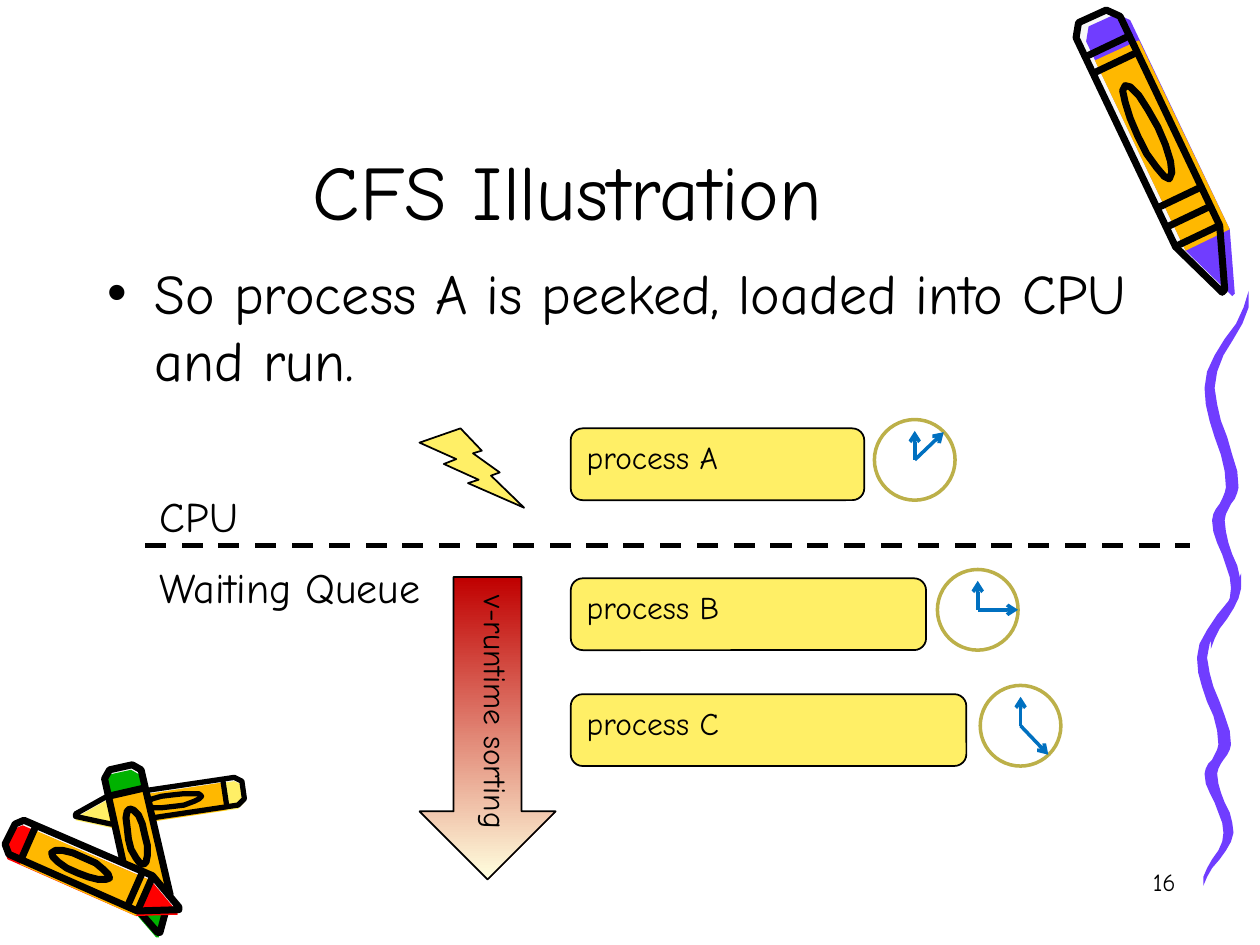
from dataclasses import dataclass
from math import cos, hypot, pi, sin, sqrt, tau

from lxml.etree import SubElement
from pptx import Presentation
from pptx.dml.color import RGBColor
from pptx.enum.dml import MSO_LINE
from pptx.enum.shapes import MSO_CONNECTOR, MSO_SHAPE as Preset
from pptx.enum.text import MSO_ANCHOR as Anchor, MSO_AUTO_SIZE as AutoSize, PP_ALIGN as Align
from pptx.oxml.ns import qn
from pptx.util import Inches, Pt

FONT = "Comic Neue"
BLACK = RGBColor(0x00, 0x00, 0x00)
OFF_WHITE = RGBColor(0xF8, 0xF8, 0xF8)
PURPLE = RGBColor(0x70, 0x3D, 0xFF)
ORANGE = RGBColor(0xFF, 0xB8, 0x00)
YELLOW = RGBColor(0xFF, 0xEF, 0x66)
RED = RGBColor(0xFF, 0x00, 0x00)
GREEN = RGBColor(0x00, 0xB2, 0x00)
OLIVE = RGBColor(0xBC, 0xB0, 0x49)
BLUE = RGBColor(0x00, 0x70, 0xC0)
DARK_RED = RGBColor(0xC0, 0x00, 0x00)
CREAM = RGBColor(0xFF, 0xFF, 0xDF)


@dataclass
class Crayon:
    """Lengths are inches; bands are fractions of the way from base to tip."""
    base: tuple
    tip: tuple
    width: float
    wax: RGBColor
    bands: tuple
    shift: tuple  # how far the colour slips out of the black outline
    weight: float

    def point(self, along, across, shift=(0, 0)):
        """Slide position; along runs 0 to 1, across runs -1 to 1 between the sides."""
        run, rise = self.tip[0] - self.base[0], self.tip[1] - self.base[1]
        side = across * self.width / 2 / hypot(run, rise)
        return (self.base[0] + along * run + side * rise + shift[0],
                self.base[1] + along * rise - side * run + shift[1])

    def outline(self, corners, shift=(0, 0)):
        return [self.point(along, across, shift) for along, across in corners]


SHOULDER = 0.8  # where the straight side of a crayon ends
SILHOUETTE = [(0, -0.6), (0.04, -1), (SHOULDER, -1), (1, -0.08),
              (1, 0.08), (SHOULDER, 1), (0.04, 1), (0, 0.6)]
WRAPPER = [(0.11, -1), (SHOULDER, -1), (SHOULDER, 1), (0.11, 1)]
OVAL = [(0.42 + 0.17 * cos(tau * step / 16), 0.45 * sin(tau * step / 16)) for step in range(16)]

CRAYONS = [
    Crayon((1.93, 6.27), (0.60, 6.47), 0.22, YELLOW, (0.11,), (0, 0.03), 3),
    Crayon((0.96, 6.09), (1.26, 7.40), 0.30, GREEN, (0.15,), (-0.01, 0.04), 4),
    Crayon((0.08, 6.62), (1.42, 7.21), 0.30, RED, (0.11, 0.74, SHOULDER), (-0.01, 0.04), 4),
    Crayon((8.67, 0.13), (9.71, 2.31), 0.39, PURPLE, (0.11, 0.17, 0.66, 0.73, SHOULDER), (0.08, 0.03), 4),
]

# Bends of the wavy ribbon: fraction of its height, x in inches.
RIBBON_BENDS = [(0, 9.91), (0.27, 9.60), (0.55, 9.78), (0.64, 9.67), (0.83, 9.81), (1, 9.61)]

# Name, bar top, bar width, clock centre x, offset of the long hand's tip.
PROCESSES = [
    ("process A", 3.40, 2.33, 7.26, (0.23, -0.22)),
    ("process B", 4.59, 2.82, 7.76, (0.32, 0)),
    ("process C", 5.51, 3.14, 8.10, (0.22, 0.23)),
]


def place(shape, left, top, width, height):
    shape.left, shape.top = Inches(left), Inches(top)
    shape.width, shape.height = Inches(width), Inches(height)


def add_run(paragraph, text, size):
    run = paragraph.add_run()
    run.text = text
    run.font.name, run.font.size = FONT, Pt(size)
    run.font.color.rgb = BLACK


def paint(shape, fill=None, line=None, weight=1):
    shape.shadow.inherit = False
    if fill is None:
        shape.fill.background()
    else:
        shape.fill.solid()
        shape.fill.fore_color.rgb = fill
    if line is None:
        shape.line.fill.background()
    else:
        shape.line.color.rgb, shape.line.width = line, Pt(weight)
    return shape


def add_polygon(slide, points, **colors):
    hundredths = [(100 * x, 100 * y) for x, y in points]
    builder = slide.shapes.build_freeform(*hundredths[0], scale=Inches(0.01))
    builder.add_line_segments(hundredths[1:], close=True)
    return paint(builder.convert_to_shape(), **colors)


def add_preset(slide, preset, left, top, width, height, **colors):
    return paint(slide.shapes.add_shape(preset, *map(Inches, (left, top, width, height))), **colors)


def add_line(slide, start, end, color, weight, arrow=False):
    line = slide.shapes.add_connector(MSO_CONNECTOR.STRAIGHT, *map(Inches, (*start, *end)))
    line.line.color.rgb, line.line.width = color, Pt(weight)
    if arrow:
        SubElement(line.line._get_or_add_ln(), qn("a:tailEnd"), type="arrow")
    SubElement(line._element.spPr, qn("a:effectLst"))
    return line


def add_crayon(slide, crayon):
    add_polygon(slide, crayon.outline(SILHOUETTE), fill=OFF_WHITE)
    add_polygon(slide, crayon.outline(SILHOUETTE, crayon.shift), fill=crayon.wax)
    add_polygon(slide, crayon.outline(WRAPPER, crayon.shift), fill=ORANGE)
    for corners in (SILHOUETTE, OVAL):
        add_polygon(slide, crayon.outline(corners), line=BLACK, weight=crayon.weight)
    for band in crayon.bands:
        add_line(slide, crayon.point(band, -1), crayon.point(band, 1), BLACK, crayon.weight)


def add_ribbon(slide, top, height, shift):
    """Ease from bend to bend, with a thickness that tapers to both ends."""
    left_edge, right_edge = [], []
    steps = 6
    for (start, start_x), (end, end_x) in zip(RIBBON_BENDS, RIBBON_BENDS[1:]):
        for step in range(steps + 1):
            part = step / steps
            fraction = start + part * (end - start)
            x = start_x + (end_x - start_x) * (1 - cos(pi * part)) / 2 + shift
            half = 0.05 * sqrt(abs(sin(pi * fraction)))
            y = top + height * fraction
            left_edge.append((x - half, y))
            right_edge.append((x + half, y))
    add_polygon(slide, left_edge + right_edge[::-1], fill=PURPLE)


def add_label(shape, text):
    frame = shape.text_frame
    frame.word_wrap, frame.vertical_anchor = True, Anchor.TOP
    frame.paragraphs[0].alignment = Align.LEFT
    add_run(frame.paragraphs[0], text, 18)
    return frame


def add_clock(slide, x, y, long_hand):
    radius = 0.32
    add_preset(slide, Preset.OVAL, x - radius, y - radius, 2 * radius, 2 * radius, line=OLIVE, weight=2)
    for dx, dy in ((0, -0.23), long_hand):
        add_line(slide, (x, y), (x + dx, y + dy), BLUE, 2, arrow=True)


def add_process(slide, name, top, width, clock_x, long_hand):
    add_clock(slide, clock_x, top + 0.25, long_hand)
    bar = add_preset(slide, Preset.ROUNDED_RECTANGLE, 4.53, top, width, 0.57, fill=YELLOW, line=BLACK)
    add_label(bar, name)


def add_sorting_arrow(slide):
    arrow = add_preset(slide, Preset.DOWN_ARROW, 3.33, 4.58, 1.08, 2.4, line=BLACK)
    arrow.fill.gradient()
    arrow.fill.gradient_angle = 270
    for stop, color in zip(arrow.fill.gradient_stops, (DARK_RED, CREAM)):
        stop.color.rgb = color
    frame = add_label(arrow, "v-runtime sorting")
    frame.margin_left = frame.margin_right = Inches(0.05)
    frame.margin_top, frame.margin_bottom = Inches(0.15), Inches(0.1)
    frame._txBody.bodyPr.set("vert", "eaVert")


def fill_placeholders(slide):
    title, body = slide.shapes.title, slide.placeholders[1]
    place(title, 0.75, 0.17, 7.51, 1.75)
    place(body, 0.75, 2, 8.42, 4)
    for shape, anchor in ((title, Anchor.BOTTOM), (body, Anchor.TOP)):
        shape.text_frame.auto_size = AutoSize.NONE
        shape.text_frame.vertical_anchor = anchor
    heading, bullet = title.text_frame.paragraphs[0], body.text_frame.paragraphs[0]
    heading.alignment = Align.CENTER
    add_run(heading, "CFS Illustration", 44)
    bullet.space_before = Pt(8)
    properties = bullet._p.get_or_add_pPr()
    properties.set("marL", str(Inches(0.38)))
    properties.set("indent", str(-Inches(0.38)))
    add_run(bullet, "So process A is peeked, loaded into CPU and run.", 32)


def add_zones(slide):
    divider = add_line(slide, (1.17, 4.33), (9.42, 4.33), BLACK, 3)
    divider.line.dash_style = MSO_LINE.DASH
    divider.line._get_or_add_ln().set("cap", "sq")
    frame = slide.shapes.add_textbox(*map(Inches, (1.17, 3.84, 2.29, 1.07))).text_frame
    for paragraph, text in ((frame.paragraphs[0], "CPU"), (frame.add_paragraph(), "Waiting Queue")):
        paragraph.space_before = Pt(12)
        add_run(paragraph, text, 24)


def add_page_number(slide, number):
    frame = slide.shapes.add_textbox(*map(Inches, (7.35, 6.83, 2.08, 0.5))).text_frame
    frame.word_wrap = True
    frame.paragraphs[0].alignment = Align.RIGHT
    add_run(frame.paragraphs[0], number, 14)


def main():
    presentation = Presentation()
    presentation.slide_width, presentation.slide_height = Inches(10), Inches(7.5)
    slide = presentation.slides.add_slide(presentation.slide_layouts[1])
    fill_placeholders(slide)
    for top, height, shift in ((4.55, 2.48, -0.06), (2.31, 2.84, 0)):
        add_ribbon(slide, top, height, shift)
    for crayon in CRAYONS:
        add_crayon(slide, crayon)
    for process in PROCESSES:
        add_process(slide, *process)
    add_sorting_arrow(slide)
    add_preset(slide, Preset.LIGHTNING_BOLT, 3.33, 3.4, 0.83, 0.63, fill=YELLOW, line=BLACK)
    add_zones(slide)
    add_page_number(slide, "16")
    presentation.save("out.pptx")


if __name__ == "__main__":
    main()
